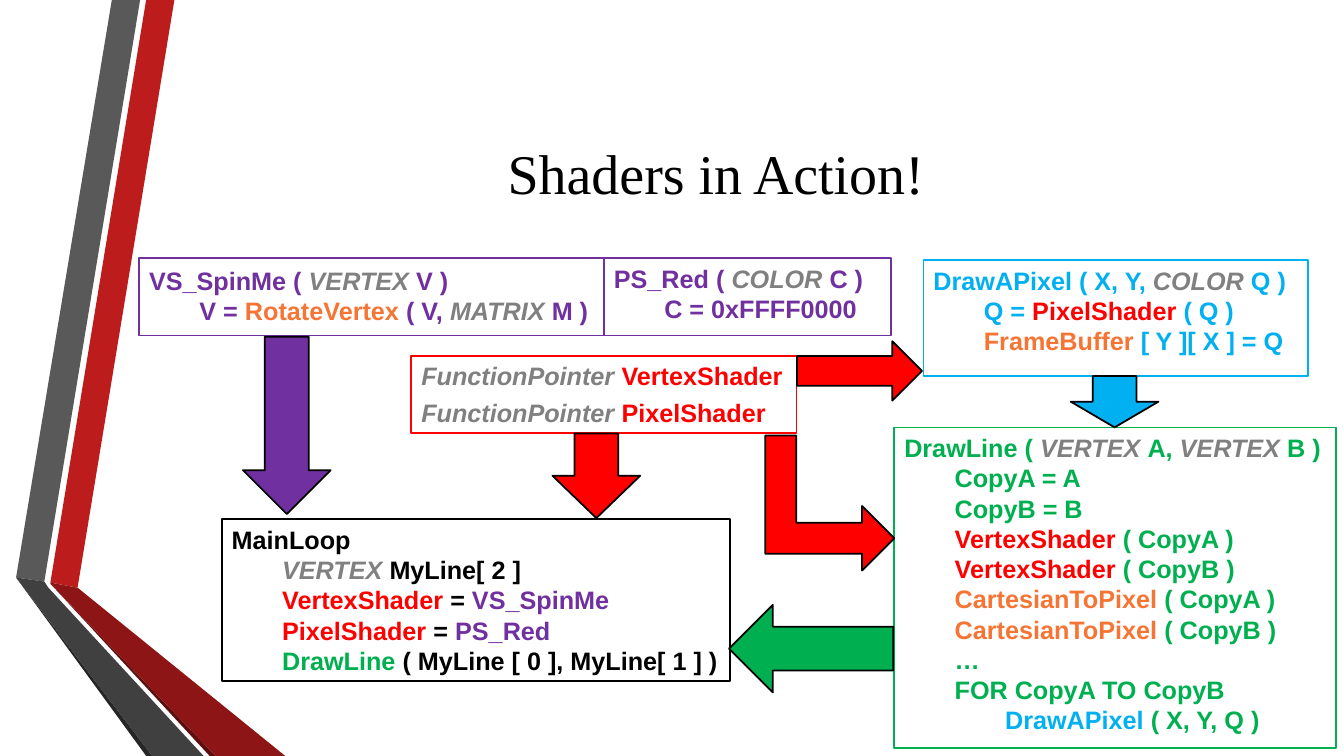
from dataclasses import dataclass

from lxml import etree
from pptx import Presentation
from pptx import util as u
from pptx.dml.color import RGBColor
from pptx.enum import shapes, text
from pptx.oxml import ns

PX = 9144  # EMU per px, 100 px to the inch


@dataclass(frozen=True)
class Theme:
    # Colours of the pseudocode
    main: str = "000000"
    kind: str = "808080"
    pointer: str = "FF0000"
    shader: str = "7030A0"
    pixel: str = "00B0F0"
    line: str = "00B050"
    helper: str = "F67534"
    # Type
    title_font: str = "Times New Roman"
    code_font: str = "Arial"
    title_size: int = 40
    code_size: int = 18
    indent: int = 50
    # Line widths
    outline: float = 1.25
    divider: float = 1.5


T = Theme()

# Ribbon bands at the left edge: colour and corners
RIBBON = [
    ("BC1C1C", [(50, 578), (77, 583), (173, 0), (145, 0)]),
    ("595959", [(139, 0), (111, 0), (16, 573), (44, 577)]),
    ("262626", [(16, 573), (145, 750), (151, 750)]),
    ("5E0E0E", [(50, 579), (208, 750), (214, 750)]),
    ("8D1515", [(50, 579), (214, 750), (283, 750), (77, 583), (50, 578)]),
    ("404040", [(202, 750), (48, 583), (44, 577), (16, 573), (151, 750)]),
]

# Pseudocode: each line is an indent level followed by (colour, words) pairs
MAIN_LOOP = [
    (0, (T.main, "MainLoop")),
    (1, (T.kind, "VERTEX "), (T.main, "MyLine[ 2 ]")),
    (1, (T.pointer, "VertexShader "), (T.main, "= "), (T.shader, "VS_SpinMe")),
    (1, (T.pointer, "PixelShader "), (T.main, "= "), (T.shader, "PS_Red")),
    (1, (T.line, "DrawLine "), (T.main, "( MyLine [ 0 ], MyLine[ 1 ] )")),
]
POINTERS = [(0, (T.kind, "FunctionPointer "), (T.pointer, name))
            for name in ("VertexShader", "PixelShader")]
SPIN_ME = [
    (0, (T.shader, "VS_SpinMe ( "), (T.kind, "VERTEX "), (T.shader, "V )")),
    (1, (T.shader, "V = "), (T.helper, "RotateVertex "), (T.shader, "( V, "),
     (T.kind, "MATRIX"), (T.shader, " M )")),
]
RED = [
    (0, (T.shader, "PS_Red ( "), (T.kind, "COLOR "), (T.shader, "C )")),
    (1, (T.shader, "C = 0xFFFF0000")),
]
DRAW_PIXEL = [
    (0, (T.pixel, "DrawAPixel ( X, Y, "), (T.kind, "COLOR "), (T.pixel, "Q )")),
    (1, (T.pixel, "Q = "), (T.pointer, "PixelShader "), (T.pixel, "( Q )")),
    (1, (T.helper, "FrameBuffer "), (T.pixel, "[ Y ][ X ] = Q")),
]
DRAW_LINE = [
    (0, (T.line, "DrawLine ( "), (T.kind, "VERTEX "), (T.line, "A, "),
     (T.kind, "VERTEX "), (T.line, "B )")),
    *[(1, (T.line, f"Copy{end} = {end}")) for end in "AB"],
    *[(1, (colour, call), (T.line, f"( Copy{end} )"))
      for colour, call in ((T.pointer, "VertexShader "),
                           (T.helper, "CartesianToPixel "))
      for end in "AB"],
    (1, (T.line, "…")),
    (1, (T.line, "FOR CopyA TO CopyB")),
    (2, (T.pixel, "DrawAPixel "), (T.line, "( X, Y, Q )")),
]

# Block arrows: place before turning, colour, turn
DOWN_ARROWS = [
    ((241, 334, 87, 176), T.shader, 0),
    ((823, 306, 59, 124), T.pointer, 270),
    ((548, 430, 87, 84), T.pointer, 0),
    ((761, 562, 87, 163), T.line, 90),
    ((1062, 373, 87, 51), T.pixel, 0),
]


def emu(lengths):
    return [u.Emu(length * PX) for length in lengths]


def paint(shape, fill=None, line=None):
    shape.shadow.inherit = False
    if fill:
        shape.fill.solid()
        shape.fill.fore_color.rgb = RGBColor.from_string(fill)
    else:
        shape.fill.background()
    if line:
        shape.line.color.rgb = RGBColor.from_string(line)
        shape.line.width = u.Pt(T.outline)
    else:
        shape.line.fill.background()


def add_ribbon(slide):
    for colour, (start, *corners) in RIBBON:
        builder = slide.shapes.build_freeform(*start, scale=PX)
        builder.add_line_segments(corners, close=True)
        paint(builder.convert_to_shape(), fill=colour)


def set_title(slide, words, place):
    title = slide.shapes.title
    title.left, title.top, title.width, title.height = emu(place)
    title.text_frame.text = words
    title.text_frame.vertical_anchor = text.MSO_ANCHOR.MIDDLE
    heading = title.text_frame.paragraphs[0]
    heading.alignment = text.PP_ALIGN.CENTER
    font = heading.runs[0].font
    font.name, font.size = T.title_font, u.Pt(T.title_size)
    font.color.rgb = RGBColor.from_string(T.main)


def write_code(holder, lines, gap=0):
    frame = holder.text_frame
    frame.word_wrap = True
    frame.vertical_anchor = text.MSO_ANCHOR.TOP
    for number, (level, *parts) in enumerate(lines):
        row = frame.add_paragraph() if number else frame.paragraphs[0]
        row.alignment = text.PP_ALIGN.LEFT
        row.space_after = u.Pt(gap)
        if level:
            row._p.get_or_add_pPr().set("marL", str(level * T.indent * PX))
        for colour, words in parts:
            run = row.add_run()
            run.text = words
            run.font.name, run.font.size = T.code_font, u.Pt(T.code_size)
            run.font.bold, run.font.italic = True, colour == T.kind
            run.font.color.rgb = RGBColor.from_string(colour)


def add_frame(slide, place, colour):
    frame = slide.shapes.add_shape(shapes.MSO_SHAPE.RECTANGLE, *emu(place))
    paint(frame, line=colour)
    return frame


def add_divider(slide, x, top, bottom, colour):
    divider = slide.shapes.add_connector(
        shapes.MSO_CONNECTOR.STRAIGHT, *emu((x, top, x, bottom)))
    divider.line.color.rgb = RGBColor.from_string(colour)
    divider.line.width = u.Pt(T.divider)
    etree.SubElement(divider._element.spPr, ns.qn("a:effectLst"))


def add_arrow(slide, place, colour, turn, preset=shapes.MSO_SHAPE.DOWN_ARROW):
    arrow = slide.shapes.add_shape(preset, *emu(place))
    arrow.rotation = turn
    paint(arrow, fill=colour, line=T.main)
    return arrow


def main():
    deck = Presentation()
    deck.slide_width, deck.slide_height = emu((1333, 750))
    slide = deck.slides.add_slide(deck.slide_layouts[5])

    add_ribbon(slide)
    set_title(slide, "Shaders in Action!", (162, 75, 1096, 192))

    # The two shaders share one divided frame
    add_frame(slide, (138, 256, 746, 77), T.shader)
    add_divider(slide, 599, 256, 333, T.shader)
    for place, lines in (((138, 258, 462, 71), SPIN_ME),
                         ((599, 256, 284, 71), RED)):
        write_code(slide.shapes.add_textbox(*emu(place)), lines)

    # Function pointers, main loop and drawing routines
    for place, colour, lines, gap in (
            ((408, 353, 382, 77), T.pointer, POINTERS, 4.5),
            ((916, 258, 381, 115), T.pixel, DRAW_PIXEL, 0),
            ((220, 515, 504, 161), T.main, MAIN_LOOP, 0),
            ((887, 424, 438, 318), T.line, DRAW_LINE, 0)):
        write_code(add_frame(slide, place, colour), lines, gap)

    # Arrows between the parts
    for place, colour, turn in DOWN_ARROWS:
        add_arrow(slide, place, colour, turn)
    bent = add_arrow(slide, (756, 435, 134, 128), T.pointer, 90,
                     shapes.MSO_SHAPE.BENT_UP_ARROW)
    bent.adjustments[0] = 0.24

    deck.save("out.pptx")


if __name__ == "__main__":
    main()
